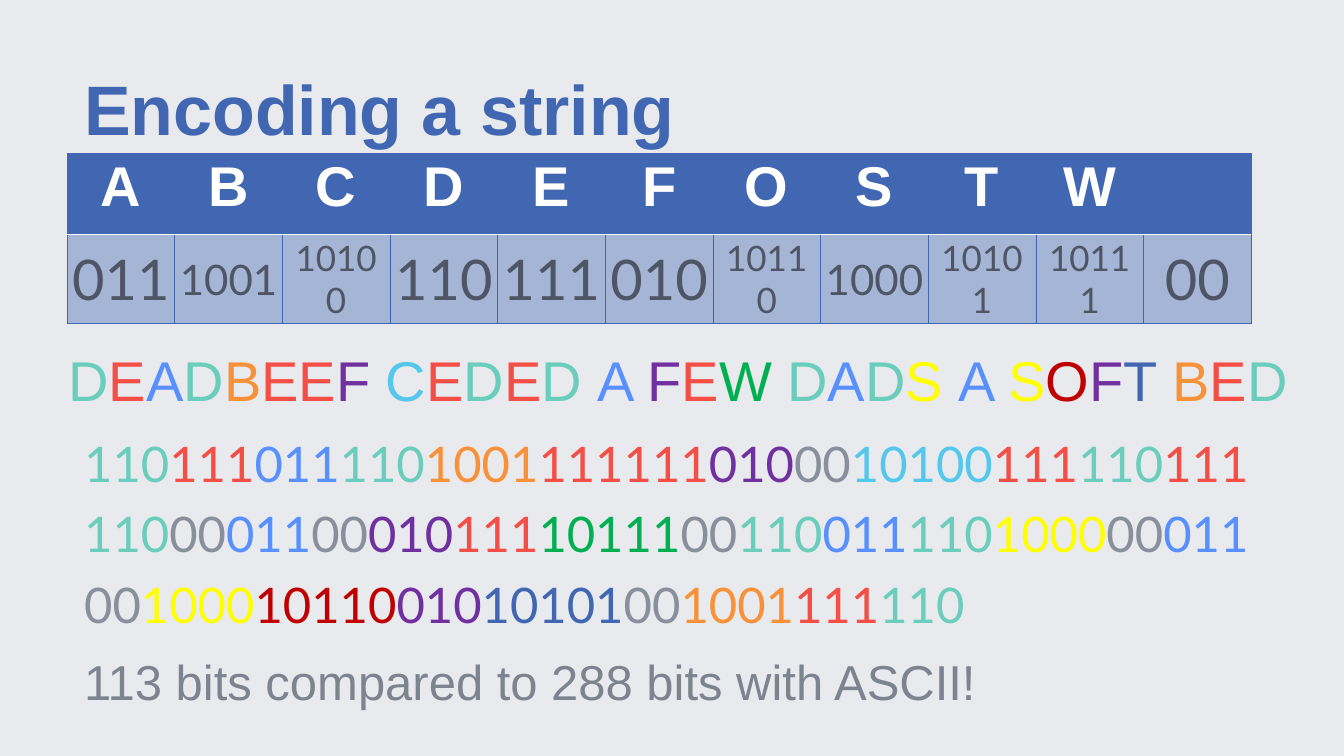
from itertools import groupby

from lxml.etree import SubElement
from pptx import Presentation
from pptx.dml.color import RGBColor
from pptx.enum.text import MSO_ANCHOR as Anchor, PP_ALIGN as Align
from pptx.oxml.ns import qn
from pptx.util import Inches, Pt

COLORS = {
    "background": "E9EAED", "title": "4267B2", "table": "4167B2",
    "white": "FFFFFF", "code": "4E5665", "note": "7D8490",
}
LETTER_COLORS = {
    "A": "5890FF", "B": "F7923B", "C": "54C7EC", "D": "6BCDBB",
    "E": "F34F46", "F": "7030A0", "O": "C00000", "S": "FFFF00",
    "T": "4167B2", "W": "00B050", " ": "898F9C",
}
CODES = {
    "A": "011", "B": "1001", "C": "10100", "D": "110", "E": "111", "F": "010",
    "O": "10110", "S": "1000", "T": "10101", "W": "10111", " ": "00",
}
CODE_SIZES = {2: 80, 3: 80, 4: 60, 5: 50}
MESSAGE = "DEADBEEF CEDED A FEW DADS A SOFT BED"


class SlideBuilder:
    heading_font = "Arial"
    code_font = "Lato"

    def __init__(self, deck):
        self.page = deck.slides.add_slide(deck.slide_layouts[6])
        fill = self.page.background.fill
        fill.solid()
        fill.fore_color.rgb = RGBColor.from_string(COLORS["background"])

    def style(self, span, size, font, color, bold=False):
        span.font.size = Pt(size)
        span.font.name = font
        span.font.bold = bold
        span.font.color.rgb = RGBColor.from_string(color)

    def text(self, area, spans, size, font, spacing, bold=False,
             anchor=Anchor.TOP, margins=(0, 0)):
        box = self.page.shapes.add_textbox(*[Inches(value) for value in area])
        frame = box.text_frame
        frame.word_wrap = True
        frame.vertical_anchor = anchor
        frame.margin_left = frame.margin_right = Inches(margins[0])
        frame.margin_top = frame.margin_bottom = Inches(margins[1])
        para = frame.paragraphs[0]
        para.line_spacing = spacing
        for content, color in spans:
            span = para.add_run()
            span.text = content
            self.style(span, size, font, color, bold)
        return para

    def borders(self, cell, top, bottom):
        properties = cell._tc.get_or_add_tcPr()
        edges = {"L": "table", "R": "table", "T": top, "B": bottom}
        for side, color in edges.items():
            line = SubElement(properties, qn(f"a:ln{side}"), w=str(Pt(0.75)))
            fill = SubElement(line, qn("a:solidFill"))
            SubElement(fill, qn("a:srgbClr"), val=COLORS[color])

    def cell(self, cell, content, size, font, color, bold=False, alpha=None):
        cell.fill.solid()
        cell.fill.fore_color.rgb = RGBColor.from_string(COLORS["table"])
        if alpha:
            tint = cell._tc.tcPr.find(qn("a:solidFill")).find(qn("a:srgbClr"))
            SubElement(tint, qn("a:alpha"), val=str(alpha * 1000))
        cell.margin_left = cell.margin_right = Inches(0.1)
        cell.margin_top = cell.margin_bottom = Inches(0.05)
        if content:
            para = cell.text_frame.paragraphs[0]
            para.text = content
            para.alignment = Align.CENTER
            self.style(para.runs[0], size, font, color, bold)

    def code_table(self, left, top, width, row_height):
        frame = self.page.shapes.add_table(
            2, len(CODES), Inches(left), Inches(top),
            Inches(width), Inches(2 * row_height))
        table = frame.table
        table.first_row = table.horz_banding = False
        for column, (letter, code) in enumerate(CODES.items()):
            table.columns[column].width = Inches(width / len(CODES))
            header, value = table.cell(0, column), table.cell(1, column)
            self.borders(header, "table", "white")
            self.borders(value, "white", "table")
            self.cell(header, letter.strip(), 80, self.heading_font,
                      COLORS["white"], bold=True)
            self.cell(value, code, CODE_SIZES[len(code)], self.code_font,
                      COLORS["code"], alpha=40)
            value.vertical_anchor = Anchor.MIDDLE


def letter_groups():
    return [("".join(group), letter) for letter, group in groupby(MESSAGE)]


def message_spans():
    spans = []
    for letters, letter in letter_groups():
        if letter == " ":
            previous, color = spans.pop()
            spans.append((previous + letters, color))
        else:
            spans.append((letters, LETTER_COLORS[letter]))
    return spans


def bit_spans():
    return [(CODES[letter] * len(letters), LETTER_COLORS[letter])
            for letters, letter in letter_groups()]


def main():
    deck = Presentation()
    deck.slide_width, deck.slide_height = Inches(26.67), Inches(15)
    slide = SlideBuilder(deck)
    heading, code = slide.heading_font, slide.code_font

    slide.text((1.67, 8.36, 23.33, 3.58), bit_spans(), 70, code, 1.2)
    slide.text((1.67, 1.14, 23.33, 2.01),
               [("Encoding a string", COLORS["title"])], 100, heading, 1.1,
               bold=True)
    message = slide.text((0.57, 6.67, 25.52, 1.66), message_spans(), 80,
                         heading, 1.1, margins=(0.1, 0.05))
    message.alignment = Align.CENTER
    message._p.get_or_add_pPr().set("indent", str(Inches(0.25)))
    slide.text((1.67, 12.62, 22.4, 1.67),
               [("113 bits compared to 288 bits with ASCII!", COLORS["note"])],
               70, heading, 1.1, anchor=Anchor.MIDDLE)
    slide.code_table(1.33, 3.04, 23.5, 1.61)
    deck.save("out.pptx")


if __name__ == "__main__":
    main()
